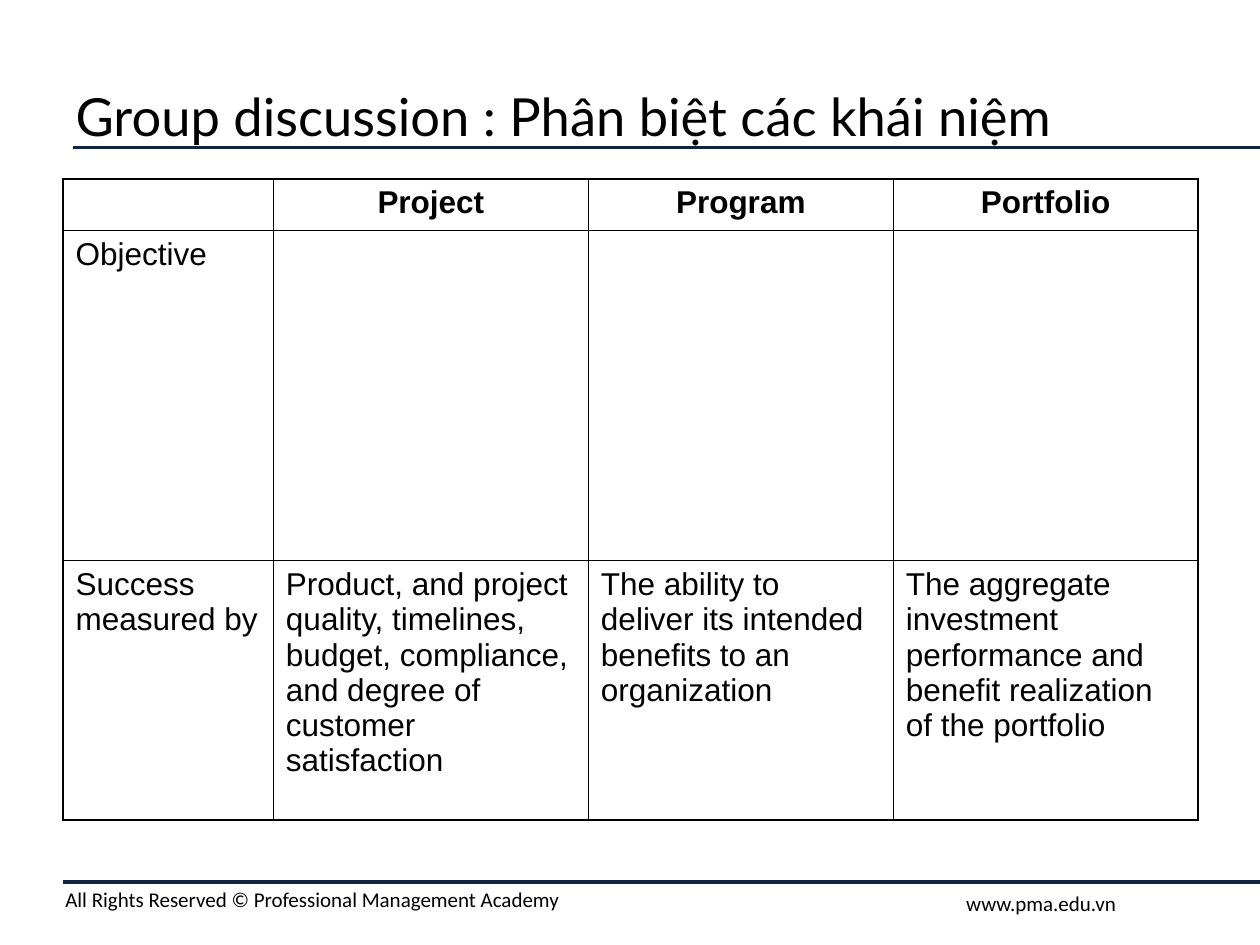
import pptx
import pptx.util
import pptx.dml.color
import pptx.enum.text
import pptx.enum.shapes
import pptx.oxml
import pptx.oxml.ns
import lxml.etree

Inches, Pt = pptx.util.Inches, pptx.util.Pt
Align = pptx.enum.text.PP_ALIGN
Anchor = pptx.enum.text.MSO_ANCHOR
BLACK = pptx.dml.color.RGBColor(0x00, 0x00, 0x00)
NAVY = pptx.dml.color.RGBColor(0x0F, 0x24, 0x3E)

WIDE, HIGH = 10, 7.5
EDGE = WIDE / 20
COLS = [1.67, 2.5, 2.42, 2.42]
ROWS = [0.41, 2.62, 2.06]
CELLS = [
    ["", "Project", "Program", "Portfolio"],
    ["Objective", "", "", ""],
    ["Success measured by",
     "Product, and project quality, timelines, budget, compliance, "
     "and degree of customer satisfaction",
     "The ability to deliver its intended benefits to an organization",
     "The aggregate investment performance and benefit realization "
     "of the portfolio"],
]


def style(para, name, size, bold=False, align=Align.LEFT):
    para.alignment = align
    look = {"name": name, "size": Pt(size), "bold": bold}
    for key, value in look.items():
        setattr(para.font, key, value)
    para.font.color.rgb = BLACK


def border(cell):
    """Draw a thin black line on all four sides of a cell."""
    props = cell._tc.get_or_add_tcPr()
    for spot, side in enumerate(("lnL", "lnR", "lnT", "lnB")):
        line = pptx.oxml.parse_xml(
            f'<a:{side} {pptx.oxml.ns.nsdecls("a")} w="{Pt(1)}">'
            f'<a:solidFill><a:srgbClr val="{BLACK}"/></a:solidFill></a:{side}>')
        props.insert(spot, line)


deck = pptx.Presentation()
deck.slide_width, deck.slide_height = Inches(WIDE), Inches(HIGH)
slide = deck.slides.add_slide(deck.slide_layouts[5])
shapes = slide.shapes

# Rules under the title and above the footer
for left, top in [(0.58, 1.17), (EDGE, 7)]:
    rule = shapes.add_connector(
        pptx.enum.shapes.MSO_CONNECTOR.STRAIGHT,
        Inches(left), Inches(top), Inches(WIDE), Inches(top))
    rule.line.color.rgb = NAVY
    rule.line.width = Pt(2)
    lxml.etree.SubElement(rule._element.spPr, pptx.oxml.ns.qn("a:effectLst"))

# Footer
for text, left, top, width in [
        ("All Rights Reserved © Professional Management Academy", 0.42, 6.99, 9.58),
        ("www.pma.edu.vn", 7.57, 7.02, 1.52)]:
    note = shapes.add_textbox(Inches(left), Inches(top), Inches(width), Inches(0.3))
    note.text_frame.word_wrap = True
    note.text_frame.text = text
    style(note.text_frame.paragraphs[0], "Calibri", 12)

# Title
title = shapes.title
place = {"left": EDGE, "top": EDGE, "width": WIDE - 2 * EDGE, "height": 0.83}
for key, value in place.items():
    setattr(title, key, Inches(value))
frame = title.text_frame
frame.text = "Group discussion : Phân biệt các khái niệm"
frame.auto_size = pptx.enum.text.MSO_AUTO_SIZE.NONE
frame.vertical_anchor = Anchor.MIDDLE
style(frame.paragraphs[0], "Lato", 30)

# Table
grid = shapes.add_table(
    len(ROWS), len(COLS), Inches(EDGE), Inches(1.42),
    Inches(sum(COLS)), Inches(sum(ROWS))).table
grid.horz_banding = False
for col, width in zip(grid.columns, COLS):
    col.width = Inches(width)
for row, height in zip(grid.rows, ROWS):
    row.height = Inches(height)
for r, texts in enumerate(CELLS):
    for c, text in enumerate(texts):
        cell = grid.cell(r, c)
        cell.text = text
        cell.fill.background()
        border(cell)
        head = r == 0
        style(cell.text_frame.paragraphs[0], "Arial", 18, head,
              Align.CENTER if head else Align.LEFT)

deck.save("out.pptx")
